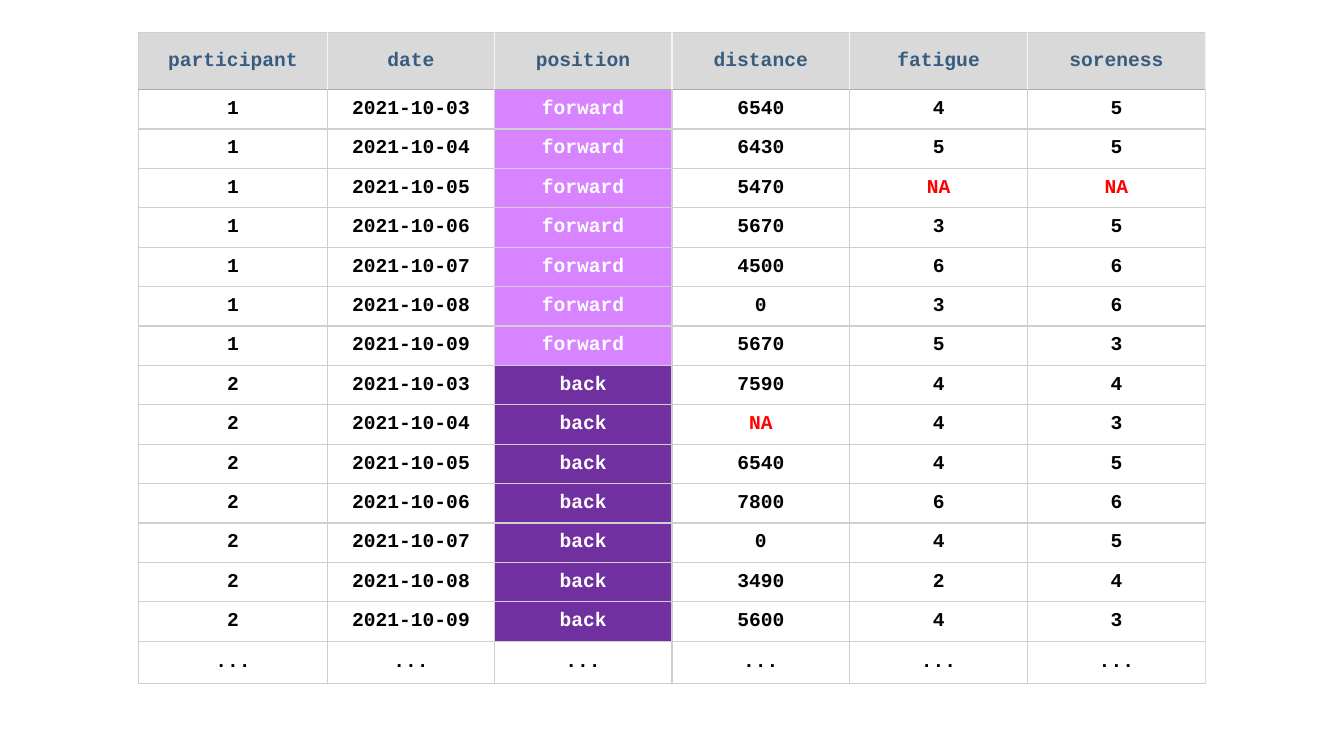
from lxml import etree
from pptx import Presentation
from pptx.dml.color import RGBColor
from pptx.enum.text import MSO_ANCHOR, PP_ALIGN
from pptx.oxml.ns import qn
from pptx.util import Pt

MIDDLE = MSO_ANCHOR.MIDDLE
CENTER = PP_ALIGN.CENTER

HEADINGS = ["participant", "date", "position", "distance", "fatigue", "soreness"]
PLAYERS = [
    ("1", "forward", [
        ("6540", "4", "5"), ("6430", "5", "5"), ("5470", "NA", "NA"),
        ("5670", "3", "5"), ("4500", "6", "6"), ("0", "3", "6"),
        ("5670", "5", "3"),
    ]),
    ("2", "back", [
        ("7590", "4", "4"), ("NA", "4", "3"), ("6540", "4", "5"),
        ("7800", "6", "6"), ("0", "4", "5"), ("3490", "2", "4"),
        ("5600", "4", "3"),
    ]),
]
POSITION_FILLS = {"forward": "D883FF", "back": "7030A0"}
COLUMN_SHARES = [135.5, 118.8, 127, 127, 127, 127]
ROW_SHARES = [40.9] + [28.16] * 14 + [30.2]
GRID, HEADER_GRID, HEADER_RULE, RIGHT_EDGE = "D0CECE", "F7F5F5", "AFABAB", "DDDDDD"


def color(value):
    return RGBColor.from_string(value)


def table_rows():
    rows = [HEADINGS]
    for participant, position, days in PLAYERS:
        for day, measures in enumerate(days, start=3):
            rows.append([participant, f"2021-10-{day:02}", position, *measures])
    return rows + [["..."] * len(HEADINGS)]


def cell_borders(row, column):
    last = column == len(HEADINGS) - 1
    if row == 0:
        left = HEADER_GRID if column else GRID
        return {"lnL": left, "lnR": HEADER_GRID, "lnT": GRID, "lnB": HEADER_RULE}
    return {
        "lnL": GRID,
        "lnR": RIGHT_EDGE if last else GRID,
        "lnT": HEADER_RULE if row == 1 else GRID,
        "lnB": GRID,
    }


def draw_borders(cell, borders):
    properties = cell._tc.get_or_add_tcPr()
    for side, value in borders.items():
        line = etree.SubElement(properties, qn(f"a:{side}"), w=str(Pt(1)))
        fill = etree.SubElement(line, qn("a:solidFill"))
        etree.SubElement(fill, qn("a:srgbClr"), val=value)


def cell_colors(row, text):
    if row == 0:
        return "D9D9D9", "385C80"
    if text in POSITION_FILLS:
        return POSITION_FILLS[text], "FFFFFF"
    return None, "FF0000" if text == "NA" else "000000"


def fill_cell(cell, text, row, column):
    fill, text_color = cell_colors(row, text)
    draw_borders(cell, cell_borders(row, column))
    if fill:
        cell.fill.solid()
        cell.fill.fore_color.rgb = color(fill)
    else:
        cell.fill.background()
    cell.vertical_anchor = MIDDLE
    para = cell.text_frame.paragraphs[0]
    para.alignment = CENTER
    span = para.add_run()
    span.text = text
    for name, value in {"name": "Courier New", "size": Pt(14), "bold": True}.items():
        setattr(span.font, name, value)
    span.font.color.rgb = color(text_color)


def add_training_table(page, left, top, width, height):
    rows = table_rows()
    box = page.shapes.add_table(
        len(rows), len(HEADINGS), Pt(left), Pt(top), Pt(width), Pt(height))
    table = box.table
    table.horz_banding = False
    for column, share in zip(table.columns, COLUMN_SHARES):
        column.width = Pt(width * share / sum(COLUMN_SHARES))
    for row, share in zip(table.rows, ROW_SHARES):
        row.height = Pt(height * share / sum(ROW_SHARES))
    for row, texts in enumerate(rows):
        for column, text in enumerate(texts):
            fill_cell(table.cell(row, column), text, row, column)


deck = Presentation()
deck.slide_width, deck.slide_height = Pt(960), Pt(540)
page = deck.slides.add_slide(deck.slide_layouts[6])
add_training_table(page, 98.7, 23.1, 762.4, 465.3)
deck.save("out.pptx")
